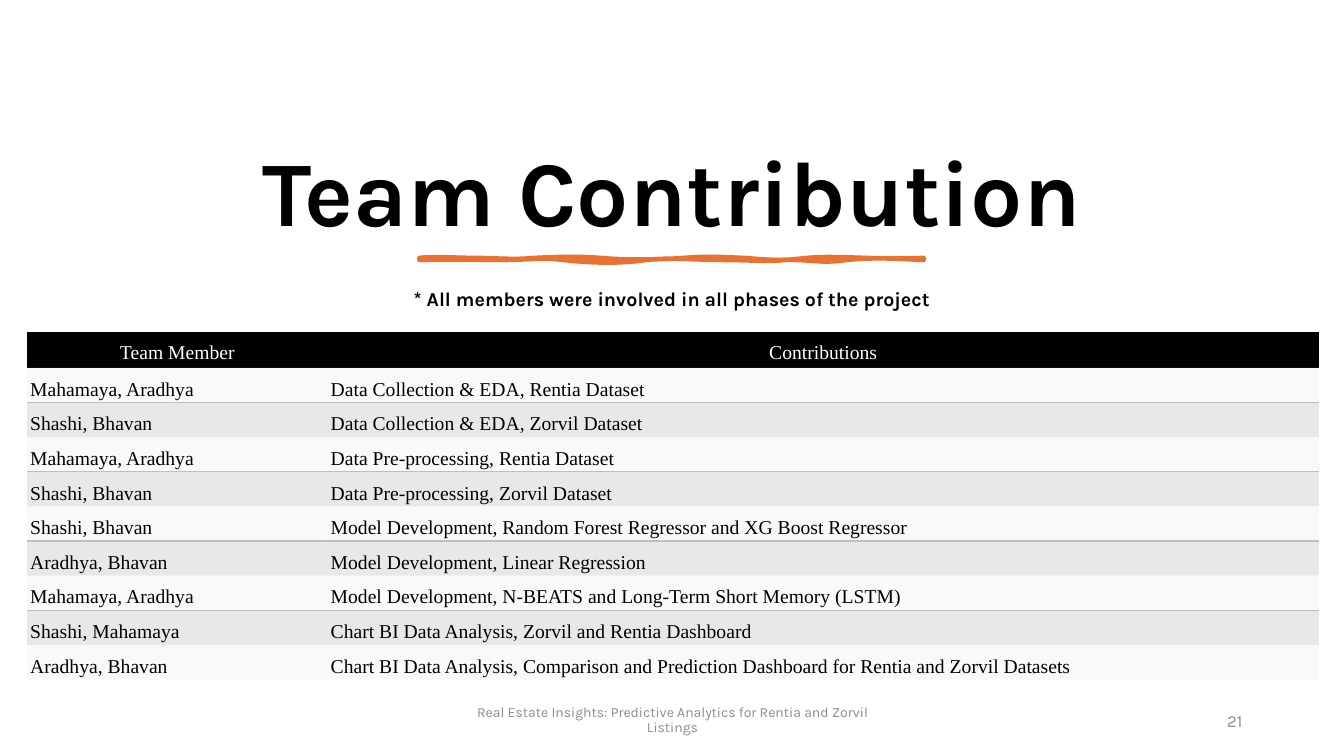
import pptx
import pptx.util
import pptx.dml.color
import pptx.enum.text
import pptx.oxml
from pptx.oxml.ns import qn
from dataclasses import dataclass

Inches = pptx.util.Inches
Pt = pptx.util.Pt
Align = pptx.enum.text.PP_ALIGN
Anchor = pptx.enum.text.MSO_ANCHOR


@dataclass(frozen=True)
class Theme:
    ink: str = "000000"
    paper: str = "FFFFFF"
    accent: str = "E97132"
    muted: str = "8C8C8C"
    light: str = "F2F2F2"
    band: str = "BFBFBF"
    sans: str = "Karla"
    serif: str = "Times New Roman"
    head: int = 66
    body: int = 14
    foot: int = 10
    page: int = 12


THEME = Theme()
NO_STYLE = "{2D5ABB26-0587-4C30-8999-92F81FD0307C}"

ROWS = [
    ("Team Member", "Contributions"),
    ("Mahamaya, Aradhya", "Data Collection & EDA, Rentia Dataset"),
    ("Shashi, Bhavan", "Data Collection & EDA, Zorvil Dataset"),
    ("Mahamaya, Aradhya", "Data Pre-processing, Rentia Dataset"),
    ("Shashi, Bhavan", "Data Pre-processing, Zorvil Dataset"),
    ("Shashi, Bhavan", "Model Development, Random Forest Regressor and XG Boost Regressor"),
    ("Aradhya, Bhavan", "Model Development, Linear Regression"),
    ("Mahamaya, Aradhya", "Model Development, N-BEATS and Long-Term Short Memory (LSTM)"),
    ("Shashi, Mahamaya", "Chart BI Data Analysis, Zorvil and Rentia Dashboard"),
    ("Aradhya, Bhavan", "Chart BI Data Analysis, Comparison and Prediction Dashboard "
                        "for Rentia and Zorvil Datasets"),
]

# Brush stroke: cubic curves (two controls, end), measured from its left top
STROKE = [
    (0.12, -0.02, 0.38, 0, 0.57, 0), (0.76, 0, 0.93, 0.02, 1.13, 0),
    (1.33, -0.01, 1.58, -0.02, 1.8, 0), (2.01, 0.02, 2.37, 0.02, 2.61, 0),
    (2.86, -0.02, 2.98, -0.01, 3.23, 0), (3.47, 0.02, 3.58, 0.03, 3.84, 0),
    (4.1, -0.03, 4.51, 0.02, 5, 0), (5.01, 0.01, 5, 0.01, 5, 0.02),
    (4.79, 0.01, 4.49, -0.01, 4.24, 0.02), (3.99, 0.06, 3.85, 0.01, 3.63, 0.02),
    (3.4, 0.04, 3.31, 0.02, 3.01, 0.02), (2.71, 0.02, 2.51, -0.01, 2.25, 0.02),
    (1.98, 0.06, 1.69, 0.05, 1.43, 0.02), (1.18, -0.01, 1.07, 0.02, 0.87, 0.02),
    (0.67, 0.02, 0.22, 0.01, 0, 0.02),
]


def color(code):
    return pptx.dml.color.RGBColor.from_string(code)


def write(frame, text, size=THEME.body, font=THEME.sans, ink=THEME.ink, bold=False,
          align=Align.CENTER, anchor=Anchor.TOP, space=None):
    """Put one formatted paragraph in a text frame."""
    frame.word_wrap = True
    frame.vertical_anchor = anchor
    para = frame.paragraphs[0]
    para.alignment = align
    para.line_spacing = space
    run = para.add_run()
    run.text = text
    run.font.size = Pt(size)
    run.font.name = font
    run.font.bold = bold
    run.font.color.rgb = color(ink)


def label(slide, box, text, **form):
    shape = slide.shapes.add_textbox(*map(Inches, box))
    write(shape.text_frame, text, **form)


def trace(curves, steps=8):
    """Yield points along joined cubic curves that start at zero."""
    x0, y0 = 0, 0
    for x1, y1, x2, y2, x3, y3 in curves:
        for i in range(1, steps + 1):
            t = i / steps
            u = 1 - t
            a, b, c, d = u ** 3, 3 * u * u * t, 3 * u * t * t, t ** 3
            yield a * x0 + b * x1 + c * x2 + d * x3, a * y0 + b * y1 + c * y2 + d * y3
        x0, y0 = x3, y3


def draw_stroke(slide, left, top):
    pen = slide.shapes.build_freeform(Inches(left), Inches(top))
    pen.add_line_segments([(Inches(left + x), Inches(top + y)) for x, y in trace(STROKE)])
    shape = pen.convert_to_shape()
    shape.shadow.inherit = False
    shape.fill.solid()
    shape.fill.fore_color.rgb = color(THEME.accent)
    shape.line.color.rgb = color(THEME.accent)
    shape.line.width = Pt(3.25)
    shape.line._get_or_add_ln().append(node("<a:round {ns}/>"))


def node(markup):
    return pptx.oxml.parse_xml(markup.format(ns=pptx.oxml.ns.nsdecls("a")))


def draw_head(slide, box):
    left, top, width, height = box
    # Title
    title = slide.shapes.title
    title.left, title.top, title.width, title.height = map(Inches, box)
    write(title.text_frame, "Team Contribution", size=THEME.head, bold=True,
          anchor=Anchor.BOTTOM, space=0.9)
    # Underline and note
    draw_stroke(slide, left + 3.46, top + height + 0.06)
    label(slide, (left, top + height + 0.32, width, 0.6),
          "* All members were involved in all phases of the project",
          bold=True, space=0.9)


def paint(cell, code, alpha=100):
    cell.fill.solid()
    cell.fill.fore_color.rgb = color(code)
    if alpha < 100:
        tone = cell._tc.tcPr.find(".//" + qn("a:srgbClr"))
        tone.append(node('<a:alpha {ns} val="%d"/>' % (alpha * 1000)))


def rule(cell):
    """Draw a thin line under a cell."""
    cell._tc.tcPr.insert(0, node(
        '<a:lnB {ns} w="12700"><a:solidFill><a:srgbClr val="%s"/></a:solidFill></a:lnB>'
        % THEME.band))


def draw_table(slide, box):
    left, top, width, height = box
    first, head = 2.98, 0.36
    table = slide.shapes.add_table(len(ROWS), 2, *map(Inches, box)).table
    table._tbl.tblPr.find(qn("a:tableStyleId")).text = NO_STYLE
    for col, size in zip(table.columns, (first, width - first)):
        col.width = Inches(size)
    for r, row in enumerate(ROWS):
        table.rows[r].height = Inches(head if r == 0 else (height - head) / (len(ROWS) - 1))
        for c, text in enumerate(row):
            cell = table.cell(r, c)
            cell.margin_left = cell.margin_right = Inches(0.03)
            cell.margin_top, cell.margin_bottom = Inches(0.09), Inches(0.02)
            write(cell.text_frame, text, font=THEME.serif,
                  ink=THEME.ink if r else THEME.paper,
                  align=Align.LEFT if r else Align.CENTER)
            cell.vertical_anchor = Anchor.BOTTOM if r else Anchor.MIDDLE
            if r == 0:
                paint(cell, THEME.ink)
            elif r % 2 == 0:
                paint(cell, THEME.band, 35)
            else:
                paint(cell, THEME.light, 45)
                if r < len(ROWS) - 1:
                    rule(cell)


def draw_foot(slide, box):
    left, top, width, height = box
    label(slide, (left, top, 4.5, height),
          "Real Estate Insights: Predictive Analytics for Rentia and Zorvil Listings",
          size=THEME.foot, ink=THEME.muted, anchor=Anchor.MIDDLE, space=0.9)
    label(slide, (left + width - 3, top, 3, height), "21", size=THEME.page,
          ink=THEME.muted, align=Align.RIGHT, anchor=Anchor.MIDDLE)


def main():
    deck = pptx.Presentation()
    deck.slide_width, deck.slide_height = Inches(13.33), Inches(7.5)
    slide = deck.slides.add_slide(deck.slide_layouts[5])
    draw_head(slide, (0.7, 0.5, 11.93, 2))
    draw_table(slide, (0.27, 3.29, 12.81, 3.45))
    draw_foot(slide, (4.42, 6.95, 8, 0.4))
    deck.save("out.pptx")


if __name__ == "__main__":
    main()
